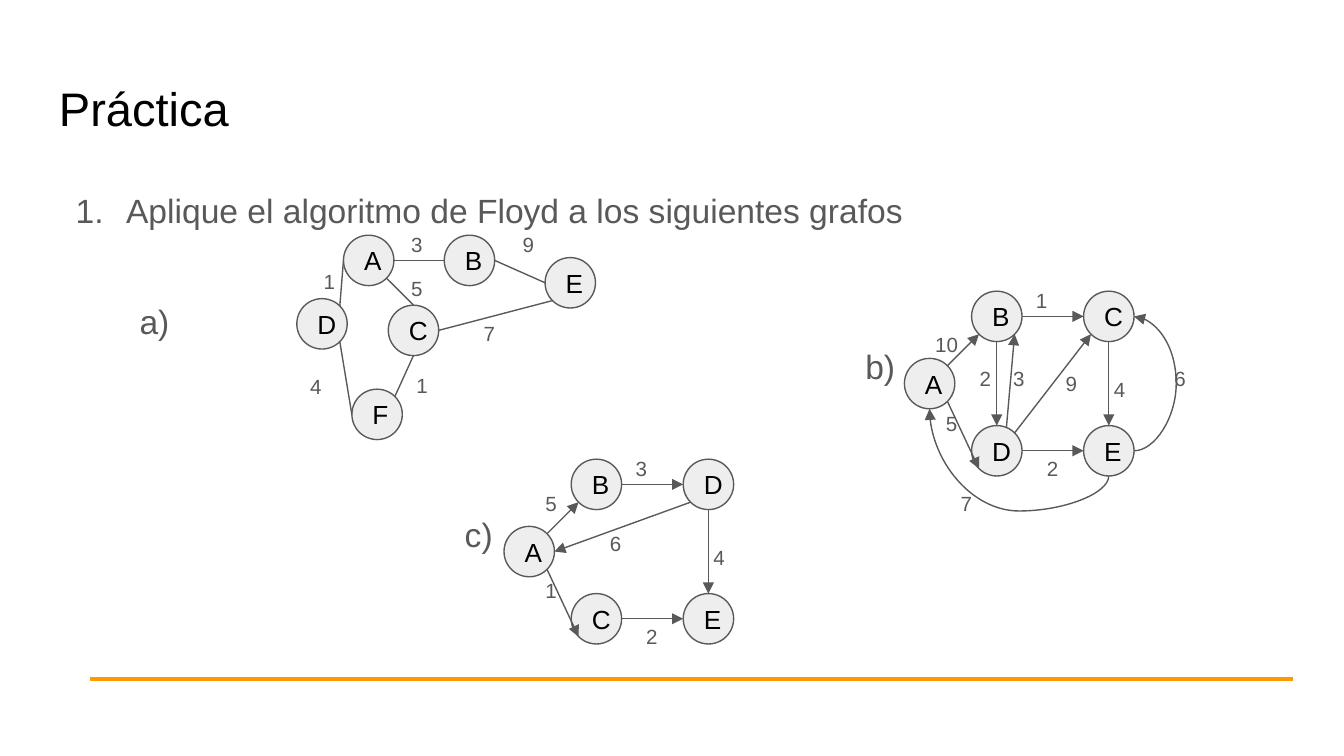
from math import cos, radians, sin

from lxml.etree import SubElement
from pptx import Presentation
from pptx.dml.color import RGBColor
from pptx.enum.shapes import MSO_CONNECTOR as Link, MSO_SHAPE as Shape
from pptx.enum.text import MSO_ANCHOR as Anchor, PP_ALIGN as Align
from pptx.oxml.ns import qn
from pptx.util import Pt

BLACK = RGBColor(0x00, 0x00, 0x00)
GRAY = RGBColor(0x59, 0x59, 0x59)
LIGHT = RGBColor(0xEE, 0xEE, 0xEE)
ORANGE = RGBColor(0xFF, 0x99, 0x00)
DIAMETER = 27
INSET = 7.2

GRAPH_A = {
    "D": (159, 160), "A": (184, 126), "C": (208, 163.5),
    "B": (238, 126), "F": (188.5, 208.5), "E": (292, 138),
}
EDGES_A = [
    ("D", 7, "A", 2, "1", 166.3, 137.5),
    ("A", 6, "B", 2, "3", 213.1, 117.4),
    ("B", 6, "E", 2, "9", 272.9, 117.4),
    ("E", 3, "C", 6, "7", 252, 165.6),
    ("C", 4, "F", 7, "1", 216, 193),
    ("A", 5, "C", 0, "5", 213.1, 141.1),
    ("D", 5, "F", 2, "4", 159.1, 193.7),
]
EDGES_B = [
    ("A", 7, "B", 3, "10", 493.9, 171.4),
    ("A", 5, "D", 3, "5", 499.7, 213.8),
    ("B", 4, "D", 0, "2", 517.7, 189.4),
    ("B", 6, "C", 2, "1", 547.9, 147.6),
    ("D", 6, "E", 2, "2", 553.7, 237.6),
    ("C", 4, "E", 0, "4", 589.7, 195.1),
    ("D", 7, "C", 3, "9", 563.8, 192.2),
    ("D", 7.5, "B", 5, "3", 535.7, 189.4),
]
EDGES_C = [
    ("A", 7, "B", 3, "5", 285.1, 256.3),
    ("A", 5, "C", 3, "1", 285.1, 303.1),
    ("D", 3, "A", 6, "6", 319.7, 277.9),
    ("B", 6, "D", 2, "3", 333.4, 237.6),
    ("C", 6, "E", 2, "2", 339.1, 327.6),
    ("D", 4, "E", 0, "4", 375.1, 285.1),
]


def style_font(para, size, color):
    para.font.name = "Arial"
    para.font.size = Pt(size)
    para.font.color.rgb = color


def set_insets(frame):
    frame.word_wrap = True
    frame.margin_left = frame.margin_right = Pt(INSET)
    frame.margin_top = frame.margin_bottom = Pt(INSET)


def add_text(page, text, left, top, width, height, size, color=GRAY):
    box = page.shapes.add_textbox(Pt(left), Pt(top), Pt(width), Pt(height))
    set_insets(box.text_frame)
    para = box.text_frame.paragraphs[0]
    para.text = text
    style_font(para, size, color)
    return para


def add_numbered(page, text, left, top, width, height):
    para = add_text(page, text, left, top, width, height, 18)
    para.line_spacing = 2.0
    props = para._p.get_or_add_pPr()
    props.set("marL", str(Pt(36)))
    props.set("indent", str(Pt(-27)))
    number = props.makeelement(qn("a:buAutoNum"), {"type": "arabicPeriod"})
    color = props.makeelement(qn("a:buClr"), {})
    SubElement(color, qn("a:srgbClr"), val=str(GRAY))
    spacing = props.find(qn("a:lnSpc"))
    spacing.addnext(number)
    spacing.addnext(color)


def add_node(page, letter, left, top):
    node = page.shapes.add_shape(Shape.OVAL, Pt(left), Pt(top), Pt(DIAMETER), Pt(DIAMETER))
    node.shadow.inherit = False
    node.fill.solid()
    node.fill.fore_color.rgb = LIGHT
    node.line.color.rgb = GRAY
    node.line.width = Pt(0.75)
    set_insets(node.text_frame)
    node.text_frame.vertical_anchor = Anchor.MIDDLE
    para = node.text_frame.paragraphs[0]
    para.text = letter
    para.alignment = Align.CENTER
    style_font(para, 14, BLACK)
    return node


def add_line(page, kind, start, end, color=GRAY, width=0.75, arrow=False):
    line = page.shapes.add_connector(kind, *(Pt(value) for value in (*start, *end)))
    line.line.color.rgb = color
    line.line.width = Pt(width)
    if arrow:
        SubElement(line.line._get_or_add_ln(), qn("a:tailEnd"), type="triangle")
    SubElement(line._element.spPr, qn("a:effectLst"))
    return line


def site_point(node, site):
    angle = radians(45 * site)
    radius = DIAMETER / 2
    return (node.left.pt + radius - radius * sin(angle),
            node.top.pt + radius - radius * cos(angle))


def attach(line, *ends):
    links = line._element.find(".//" + qn("p:cNvCxnSpPr"))
    for tag, (node, site) in zip(("a:stCxn", "a:endCxn"), ends):
        if site == int(site):
            SubElement(links, qn(tag), id=str(node.shape_id), idx=str(site))


def add_curve(page, start, end, turn, bulge):
    (x1, y1), (x2, y2) = site_point(*start), site_point(*end)
    width, height = abs(x2 - x1), abs(y2 - y1)
    if turn == 90:
        width, height = height, width
    width = max(width, 0.05)
    left, top = (x1 + x2 - width) / 2, (y1 + y2 - height) / 2
    curve = add_line(page, Link.CURVE, (left, top), (left + width, top + height), arrow=True)
    frame = curve._element.spPr.find(qn("a:xfrm"))
    frame.set("rot", str(turn * 60000))
    frame.set("flipH", "1")
    guides = curve._element.spPr.find(qn("a:prstGeom")).get_or_add_avLst()
    SubElement(guides, qn("a:gd"), name="adj1", fmla=f"val {round(bulge / width * 100000)}")
    attach(curve, start, end)


def add_weight(page, weight, left, top):
    add_text(page, weight, left, top, 27, 28, 11)


def add_graph(page, places, edges, arrow):
    nodes = {letter: add_node(page, letter, *place) for letter, place in places.items()}
    for first, site, second, other, weight, left, top in edges:
        start, end = (nodes[first], site), (nodes[second], other)
        line = add_line(page, Link.STRAIGHT, site_point(*start), site_point(*end), arrow=arrow)
        attach(line, start, end)
        add_weight(page, weight, left, top)
    return nodes


def five_places(letters, left, top):
    offsets = [(0, 36), (36, 0), (36, 72), (96, 0), (96, 72)]
    return {letter: (left + x, top + y) for letter, (x, y) in zip(letters, offsets)}


def main():
    deck = Presentation()
    deck.slide_width, deck.slide_height = Pt(720), Pt(405)
    page = deck.slides.add_slide(deck.slide_layouts[6])

    add_text(page, "Práctica", 24.5, 35.3, 671, 45, 25.2, BLACK)
    add_line(page, Link.STRAIGHT, (48, 363.6), (692.6, 363.6), ORANGE, 2.25)
    add_numbered(page, "Aplique el algoritmo de Floyd a los siguientes grafos",
                 24.5, 72.7, 582, 269)
    for label, left, top in [("a)", 67.7, 154), ("b)", 456.5, 178), ("c)", 241.9, 268)]:
        add_text(page, label, left, top, 42, 36, 18)

    add_graph(page, GRAPH_A, EDGES_A, arrow=False)
    add_graph(page, five_places("ABCDE", 270, 246), EDGES_C, arrow=True)
    nodes = add_graph(page, five_places("ABDCE", 484.5, 156), EDGES_B, arrow=True)
    add_curve(page, (nodes["E"], 6), (nodes["C"], 6), 180, 20)
    add_weight(page, "6", 622.1, 189.4)
    add_curve(page, (nodes["E"], 4), (nodes["A"], 4), 90, -18.75)
    add_weight(page, "7", 507.6, 256.3)

    deck.save("out.pptx")


if __name__ == "__main__":
    main()
